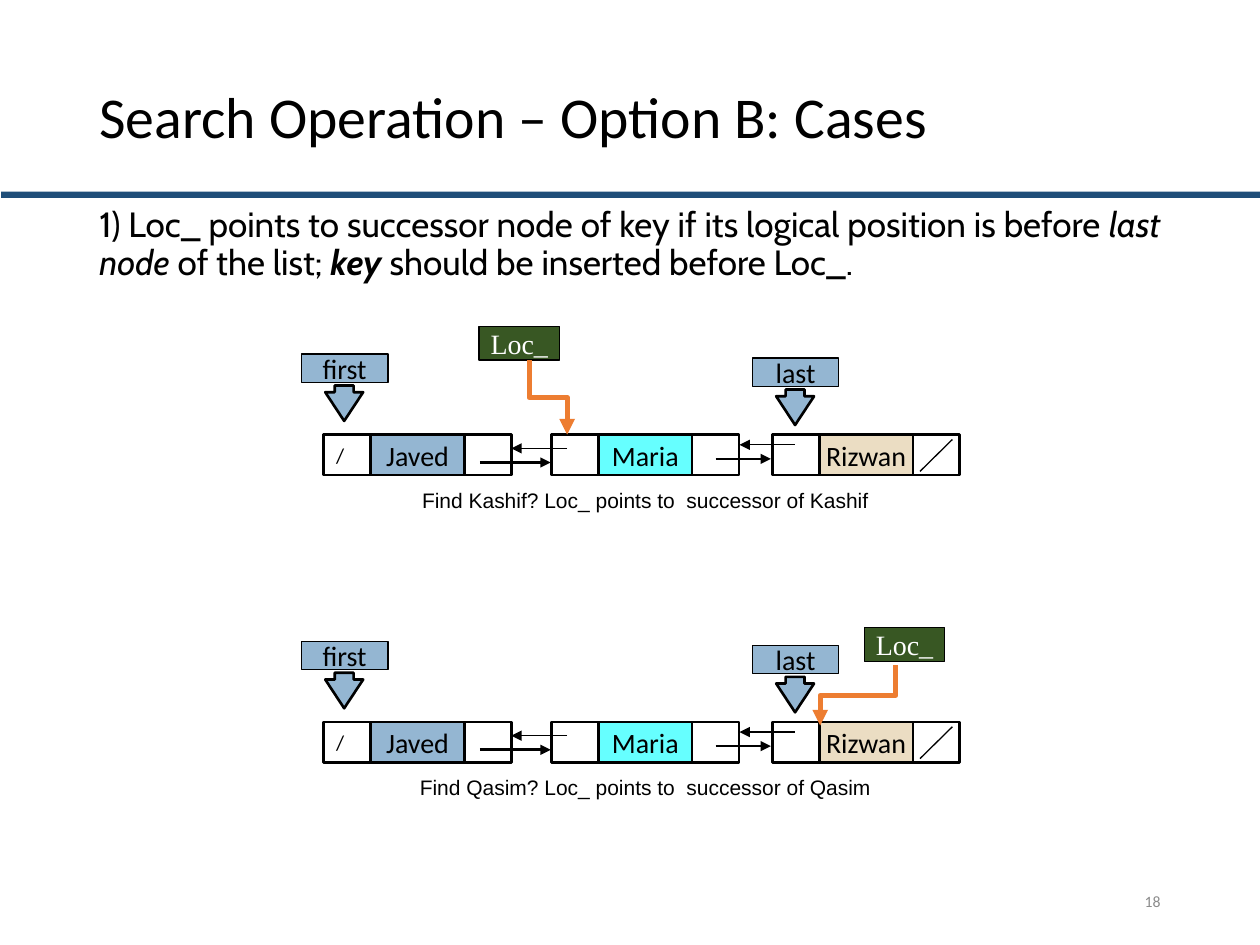
from dataclasses import dataclass
from typing import NamedTuple

from pptx import Presentation
from pptx.dml.color import RGBColor
from pptx.enum.shapes import MSO_CONNECTOR, MSO_SHAPE
from pptx.enum.text import MSO_ANCHOR, PP_ALIGN
from pptx.oxml.ns import qn
from pptx.util import Inches, Pt
from lxml.etree import SubElement

WIDTH, HEIGHT = 10, 7.5
COL, ROW = 0.372, 0.32  # one pointer field of a list node
LEFT = 2.57


@dataclass(frozen=True)
class Theme:
    ink: str = "000000"
    rule: str = "1F4E79"
    blue: str = "94B6D2"
    cyan: str = "66FFFF"
    sand: str = "EBDDC3"
    green: str = "385723"
    orange: str = "ED7D31"
    white: str = "FFFFFF"
    grey: str = "8C8C8C"
    font: str = "Calibri"
    body_font: str = "Cabin"
    caption_font: str = "Arial"
    loc_font: str = "Times New Roman"
    title: float = 33
    body: float = 20
    label: float = 16
    small: float = 12
    number: float = 9
    thin: float = 0.75
    thick: float = 1.5
    elbow: float = 3


T = Theme()


class Box(NamedTuple):
    x: float
    y: float
    w: float
    h: float


class Node(NamedTuple):
    col: float
    name: str
    color: str
    prev: str = ""


class Pointer(NamedTuple):
    col: float
    row: float
    text: str


class Line(NamedTuple):
    x1: float
    y1: float
    x2: float
    y2: float
    width: float = T.thin
    arrow: bool = True


class Case(NamedTuple):
    top: float
    caption: str
    loc: Pointer
    elbow: Line


NODES = [Node(0, "Javed", T.blue, "/"), Node(4.86, "Maria", T.cyan),
         Node(9.57, "Rizwan", T.sand)]
ENDS = [Pointer(-0.48, -2, "first"), Pointer(9.14, -1.9, "last")]
LINKS = [
    Line(3.33, 0.69, 4.84, 0.69, T.thick),
    Line(8.36, 0.6, 9.54, 0.6, T.thick),
    Line(10.05, 0.25, 8.87, 0.25),
    Line(5.19, 0.34, 4, 0.34),
    Line(13.41, 0.12, 12.72, 0.91, arrow=False),
]
CASES = [
    Case(3.45, "Find Kashif? Loc_ points to  successor of Kashif",
         Pointer(3.31, -2.69, "Loc_"), Line(4.38, -1.84, 5.19, 0, T.elbow)),
    Case(5.73, "Find Qasim? Loc_ points to  successor of Qasim",
         Pointer(11.53, -2.34, "Loc_"), Line(12.2, -1.41, 10.59, 0.09, T.elbow)),
]
STATEMENT = [
    ("1) Loc_ points to successor node of key if its logical position is before ", False, False),
    ("last node", False, True),
    (" of the list; ", False, False),
    ("key", True, True),
    (" should be inserted before Loc_.", False, False),
]


def rgb(color: str) -> RGBColor:
    return RGBColor.from_string(color)


def share(x: float, y: float, w: float, h: float) -> Box:
    """Box from shares of the slide's size."""
    return Box(x * WIDTH, y * HEIGHT, w * WIDTH, h * HEIGHT)


def cells(top: float, col: float, row: float, cols: float, rows: float) -> Box:
    """Box from grid cells of the diagram whose nodes start at top."""
    return Box(LEFT + col * COL, top + row * ROW, cols * COL, rows * ROW)


def style(p, font: str, size: float, color: str = T.ink, align=None) -> None:
    p.font.name, p.font.size = font, Pt(size)
    p.font.color.rgb = rgb(color)
    p.alignment = align


def add_text(s, box: Box, text: str, font: str, size: float, color: str = T.ink,
             align=PP_ALIGN.LEFT, anchor=MSO_ANCHOR.TOP):
    tf = s.shapes.add_textbox(*map(Inches, box)).text_frame
    tf.word_wrap, tf.vertical_anchor = True, anchor
    p = tf.paragraphs[0]
    p.text = text
    style(p, font, size, color, align)
    return p


def add_block(s, box: Box, fill: str = "", line: float = T.thick, text: str = "",
              font: str = T.font, size: float = T.label, color: str = T.ink,
              align=PP_ALIGN.CENTER, kind=MSO_SHAPE.RECTANGLE):
    sp = s.shapes.add_shape(kind, *map(Inches, box))
    sp.shadow.inherit = False
    if fill:
        sp.fill.solid()
        sp.fill.fore_color.rgb = rgb(fill)
    else:
        sp.fill.background()
    if line:
        sp.line.color.rgb, sp.line.width = rgb(T.ink), Pt(line)
    else:
        sp.line.fill.background()
    if text:
        tf = sp.text_frame
        tf.word_wrap, tf.vertical_anchor = False, MSO_ANCHOR.MIDDLE
        tf.paragraphs[0].text = text
        style(tf.paragraphs[0], font, size, color, align)
    return sp


def add_line(s, kind, x1: float, y1: float, x2: float, y2: float,
             line: Line, color: str = T.ink):
    cxn = s.shapes.add_connector(kind, *map(Inches, (x1, y1, x2, y2)))
    cxn.line.color.rgb, cxn.line.width = rgb(color), Pt(line.width)
    if line.arrow:
        SubElement(cxn.line._get_or_add_ln(), qn("a:tailEnd"), type="triangle")
    SubElement(cxn._element.spPr, qn("a:effectLst"))
    return cxn


def add_elbow(s, top: float, line: Line) -> None:
    """Elbow that leaves downwards: a level elbow turned by a quarter."""
    x1, y1, dx, dy = cells(top, line.x1, line.y1, line.x2 - line.x1, line.y2 - line.y1)
    mid_x, mid_y = x1 + dx / 2, y1 + dy / 2
    half_w = -dy / 2 if dx > 0 else dy / 2
    half_h = abs(dx) / 2
    cxn = add_line(s, MSO_CONNECTOR.ELBOW, mid_x - half_w, mid_y - half_h,
                   mid_x + half_w, mid_y + half_h, line, T.orange)
    turn = 270 if dx > 0 else 90
    cxn._element.spPr.find(qn("a:xfrm")).set("rot", str(turn * 60000))


def add_case(s, case: Case) -> None:
    top = case.top
    add_text(s, cells(top, 0.24, 1.16, 13.25, 0.94), case.caption,
             T.caption_font, T.small, align=PP_ALIGN.CENTER)
    add_block(s, cells(top, case.loc.col, case.loc.row, 1.72, 0.84), T.green, T.thin,
              case.loc.text, T.loc_font, color=T.white)
    for node in NODES:
        add_block(s, cells(top, node.col, 0, 4, 1), text=node.prev, size=T.small,
                  align=PP_ALIGN.LEFT)
        add_block(s, cells(top, node.col + 1, 0, 2, 1), node.color, text=node.name)
    for end in ENDS:
        add_block(s, cells(top, end.col, end.row, 1.85, 0.7), T.blue, T.thin, end.text)
        arrow = add_block(s, cells(top, end.col + 0.51, end.row + 0.78, 0.81, 0.88),
                          T.blue, kind=MSO_SHAPE.DOWN_ARROW)
        arrow.adjustments[0], arrow.adjustments[1] = 0.5, 0.81
    for link in LINKS:
        x, y, dx, dy = cells(top, link.x1, link.y1, link.x2 - link.x1, link.y2 - link.y1)
        add_line(s, MSO_CONNECTOR.STRAIGHT, x, y, x + dx, y + dy, link)
    add_elbow(s, top, case.elbow)


def main() -> None:
    prs = Presentation()
    prs.slide_width, prs.slide_height = Inches(WIDTH), Inches(HEIGHT)
    s = prs.slides.add_slide(prs.slide_layouts[6])
    add_block(s, Box(0.01, 1.52, WIDTH, 0.05), T.rule, line=0)
    title = add_text(s, share(0.069, 0.053, 0.862, 0.147),
                     "Search Operation – Option B: Cases", T.font, T.title,
                     anchor=MSO_ANCHOR.MIDDLE)
    body = add_text(s, share(0.069, 0.213, 0.862, 0.1), "", T.body_font, T.body)
    title.line_spacing = body.line_spacing = 0.9
    for text, bold, italic in STATEMENT:
        r = body.add_run()
        r.text, r.font.bold, r.font.italic = text, bold, italic
    add_text(s, share(0.706, 0.927, 0.225, 0.053), "18", T.font, T.number, T.grey,
             PP_ALIGN.RIGHT, MSO_ANCHOR.MIDDLE)
    for case in CASES:
        add_case(s, case)
    prs.save("out.pptx")


if __name__ == "__main__":
    main()
